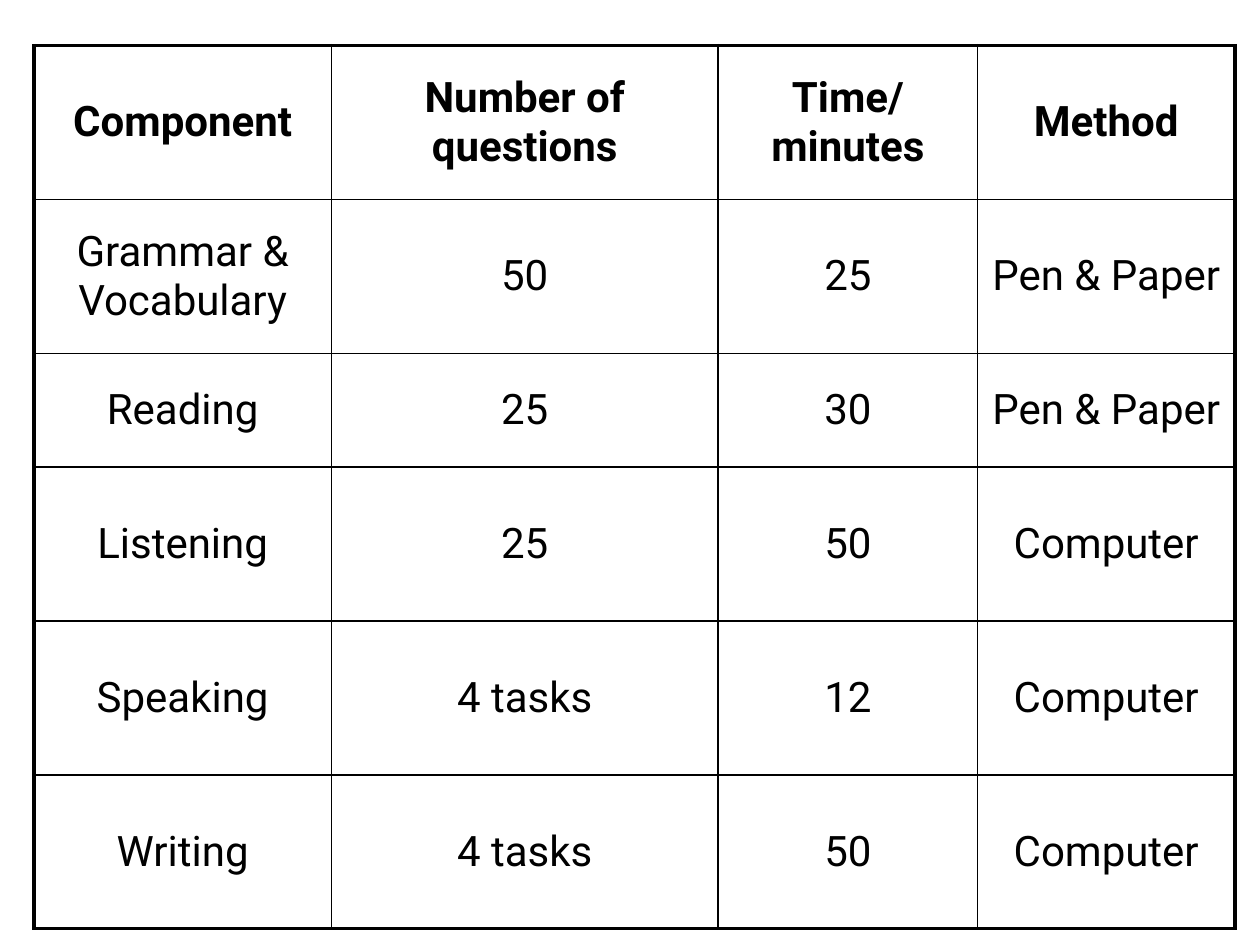
from dataclasses import dataclass

from lxml import etree
from pptx import Presentation
from pptx import util as u
from pptx.dml import color
from pptx.enum import text
from pptx.oxml import ns
from pptx.table import _Cell


@dataclass(frozen=True)
class Theme:
    font: str = "Roboto"
    size: float = 24
    ink: str = "000000"
    thin: float = 1
    thick: float = 2.25


@dataclass(frozen=True)
class Part:
    """One component of the exam."""
    name: str
    count: str
    time: str
    method: str
    height: float = 88
    bold: bool = False

    def texts(self) -> tuple[str, ...]:
        return self.name, self.count, self.time, self.method


THEME = Theme()
LEFT, TOP = 19.4, 26
WIDTHS = (170, 221, 148.3, 147)
PARTS = (
    Part("Component", "Number of questions", "Time/\nminutes", "Method", bold=True),
    Part("Grammar & Vocabulary", "50", "25", "Pen & Paper"),
    Part("Reading", "25", "30", "Pen & Paper", height=64.8),
    Part("Listening", "25", "50", "Computer"),
    Part("Speaking", "4 tasks", "12", "Computer"),
    Part("Writing", "4 tasks", "50", "Computer"),
)


def frame(cell: _Cell, outer: dict[str, bool]) -> None:
    """Draw the four borders, thick on the outer edge of the table."""
    props = cell._tc.get_or_add_tcPr()
    for side in "LRTB":
        width = THEME.thick if outer[side] else THEME.thin
        line = etree.SubElement(props, ns.qn(f"a:ln{side}"), w=str(u.Pt(width)))
        fill = etree.SubElement(line, ns.qn("a:solidFill"))
        etree.SubElement(fill, ns.qn("a:srgbClr"), val=THEME.ink)


def write(cell: _Cell, words: str, bold: bool) -> None:
    cell.vertical_anchor = text.MSO_ANCHOR.MIDDLE
    para = cell.text_frame.paragraphs[0]
    para.alignment = text.PP_ALIGN.CENTER
    for i, line in enumerate(words.split("\n")):
        if i:
            para.add_line_break()
        run = para.add_run()
        run.text = line
        run.font.name = THEME.font
        run.font.size = u.Pt(THEME.size)
        run.font.bold = bold
        run.font.color.rgb = color.RGBColor.from_string(THEME.ink)


def main() -> None:
    deck = Presentation()
    deck.slide_width, deck.slide_height = u.Pt(720), u.Pt(540)
    slide = deck.slides.add_slide(deck.slide_layouts[6])
    rows, cols = len(PARTS), len(WIDTHS)
    high = sum(part.height for part in PARTS)
    table = slide.shapes.add_table(
        rows, cols, u.Pt(LEFT), u.Pt(TOP), u.Pt(sum(WIDTHS)), u.Pt(high)).table
    table.first_row = table.horz_banding = False
    for col, width in zip(table.columns, WIDTHS):
        col.width = u.Pt(width)
    for r, part in enumerate(PARTS):
        table.rows[r].height = u.Pt(part.height)
        for c, words in enumerate(part.texts()):
            cell = table.cell(r, c)
            write(cell, words, part.bold)
            frame(cell, {"L": c == 0, "R": c == cols - 1,
                         "T": r == 0, "B": r == rows - 1})
            cell.fill.background()
    deck.save("out.pptx")


if __name__ == "__main__":
    main()
